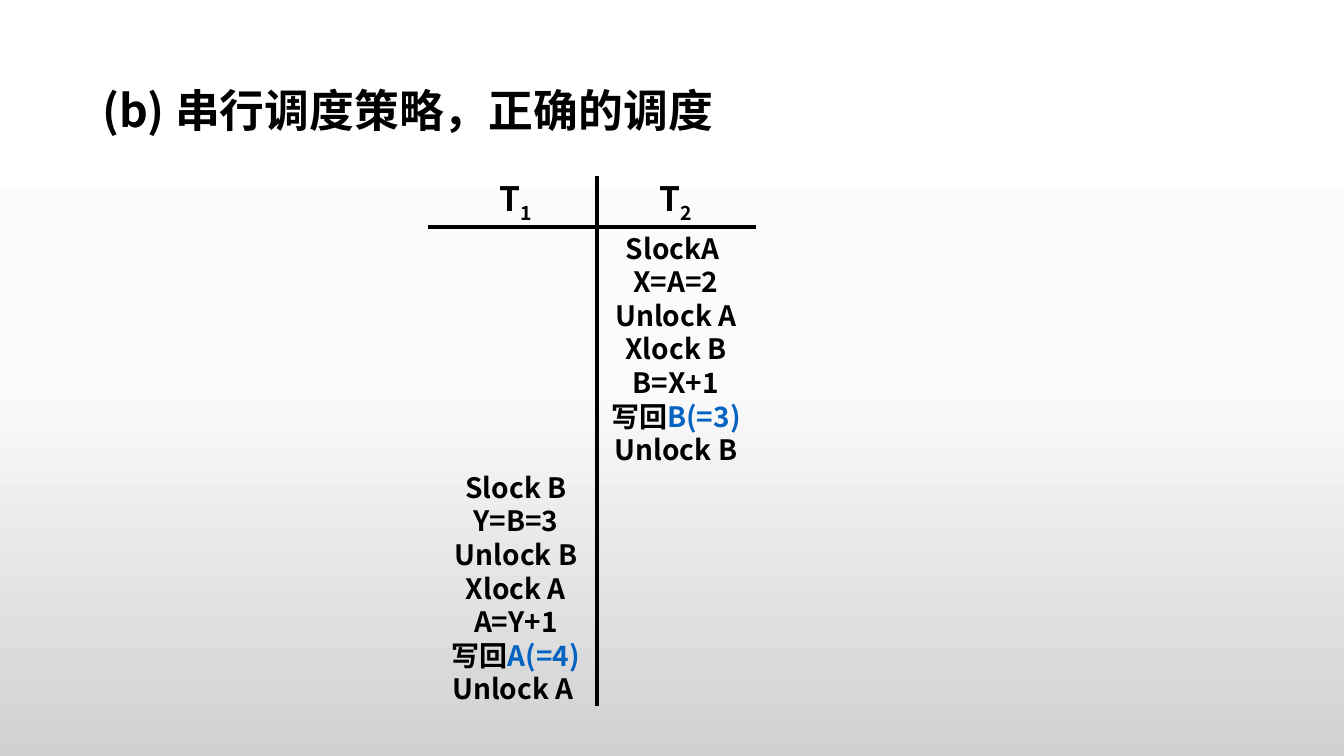
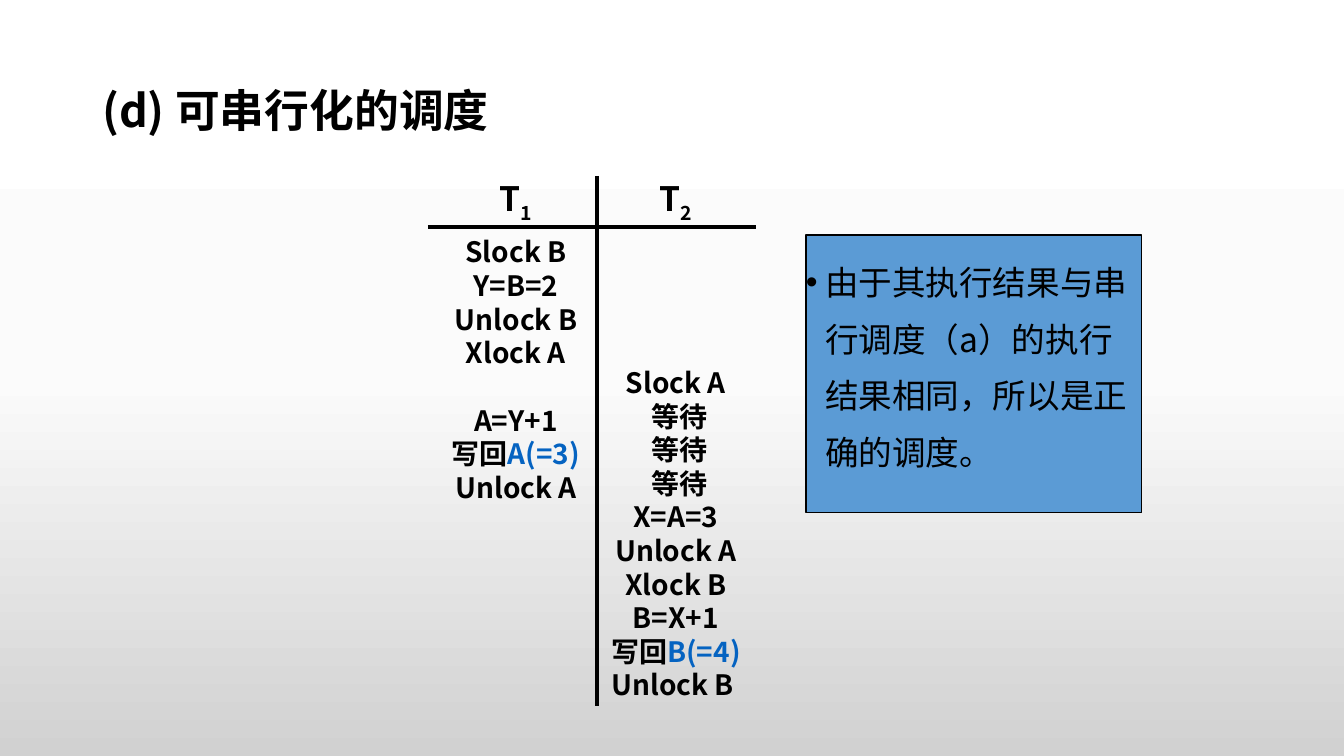
from lxml import etree
from pptx import Presentation
from pptx.dml.color import RGBColor
from pptx.enum.shapes import MSO_CONNECTOR as CONN, MSO_SHAPE as SHAPE
from pptx.enum.text import MSO_ANCHOR as ANCHOR, MSO_AUTO_SIZE as AUTO, PP_ALIGN as ALIGN
from pptx.oxml.ns import qn
from pptx.util import Emu, Pt

SCALE = 914400 / 100.8
FONT = "Noto Sans CJK SC"
BLACK, BLUE, NOTE_FILL = "000000", "0563C1", "5B9BD5"
BACKGROUND = [(0, "FFFFFF"), (50, "FBFBFB"), (100, "D1D1D1")]
WRITE = "写回"
COLUMN_WIDTH = 160
ROW = 24  # height of one schedule row, in points
COLUMNS = {"1": (436, 235), "2": (596, 231)}  # left, top of the first row


def px(length):
    return Emu(round(length * SCALE))


def style(font, size, bold=True):
    font.size, font.bold = Pt(size), bold
    font.color.rgb = RGBColor.from_string(BLACK)
    font.name = FONT
    etree.SubElement(font._element, qn("a:ea")).set("typeface", FONT)


schedules = [
    {
        "title": "(b) 串行调度策略，正确的调度",
        # transaction, first row, steps
        "blocks": [
            ("1", 7, ["Slock B", "Y=B=3", "Unlock B", "Xlock A", "A=Y+1",
                      "写回A(=4)", "Unlock A "]),
            ("2", 0, ["SlockA ", "X=A=2", "Unlock A", "Xlock B", "B=X+1",
                      "写回B(=3)", "Unlock B"]),
        ],
        "note": None,
    },
    {
        "title": "(d) 可串行化的调度",
        "blocks": [
            ("1", 0, ["Slock B", "Y=B=2", "Unlock B", "Xlock A"]),
            ("1", 5, ["A=Y+1", "写回A(=3)", "Unlock A"]),
            ("2", 4, ["Slock A", " 等待", " 等待", " 等待", "X=A=3", "Unlock A",
                      "Xlock B", "B=X+1", "写回B(=4)", "Unlock B "]),
        ],
        "note": "由于其执行结果与串行调度（a）的执行结果相同，所以是正确的调度。",
    },
]

prs = Presentation()
prs.slide_width, prs.slide_height = px(1344), px(756)

# Shared background on the master
master = prs.slide_master
backdrop = master.background.fill
backdrop.gradient()
backdrop.gradient_angle = 270
stops = master.element.xpath("p:cSld/p:bg//a:gsLst")[0]
for stop in list(stops):
    stops.remove(stop)
for position, colour in BACKGROUND:
    stop = etree.SubElement(stops, qn("a:gs"), pos=str(position * 1000))
    etree.SubElement(stop, qn("a:srgbClr"), val=colour)

for schedule in schedules:
    slide = prs.slides.add_slide(prs.slide_layouts[5])

    # Title
    title = slide.shapes.title
    title.left, title.top, title.width, title.height = px(92), px(40), px(1159), px(146)
    title.text_frame.text = schedule["title"]
    title.text_frame.auto_size = AUTO.NONE
    title.text_frame.vertical_anchor = ANCHOR.MIDDLE
    heading = title.text_frame.paragraphs[0]
    heading.alignment, heading.line_spacing = ALIGN.LEFT, 0.9
    style(heading.font, 32)

    # Rules of the schedule
    for x1, y1, x2, y2 in [(428, 227, 756, 227), (597, 176, 597, 706)]:
        rule = slide.shapes.add_connector(CONN.STRAIGHT, px(x1), px(y1), px(x2), px(y2))
        rule.line.color.rgb = RGBColor.from_string(BLACK)
        rule.line.width = Pt(2.25)
        etree.SubElement(rule._element.spPr, qn("a:effectLst"))

    # Column headings
    for number, (left, top) in COLUMNS.items():
        box = slide.shapes.add_textbox(px(left), px(176), px(COLUMN_WIDTH), px(50))
        box.text_frame.word_wrap = True
        box.text_frame.vertical_anchor = ANCHOR.MIDDLE
        label = box.text_frame.paragraphs[0]
        label.alignment = ALIGN.CENTER
        style(label.font, 24)
        label.add_run().text = "T"
        subscript = label.add_run()
        subscript.text = number
        subscript.font._element.set("baseline", "-25000")

    # Steps of each transaction
    for number, first_row, steps in schedule["blocks"]:
        left, top = COLUMNS[number]
        box = slide.shapes.add_textbox(px(left), px(top) + Pt(ROW * first_row),
                                       px(COLUMN_WIDTH), Pt(ROW * len(steps)))
        frame = box.text_frame
        frame.word_wrap = True
        frame.margin_left = frame.margin_right = frame.margin_top = frame.margin_bottom = 0
        for index, step in enumerate(steps):
            line = frame.add_paragraph() if index else frame.paragraphs[0]
            line.alignment = ALIGN.CENTER
            style(line.font, 20)
            if step.startswith(WRITE):
                line.add_run().text = WRITE
                written = line.add_run()
                written.text = step[len(WRITE):]
                written.font.color.rgb = RGBColor.from_string(BLUE)
            else:
                line.add_run().text = step

    # Note beside the schedule
    if schedule["note"]:
        note = slide.shapes.add_shape(SHAPE.RECTANGLE, px(806), px(235), px(336), px(278))
        note.shadow.inherit = False
        note.fill.solid()
        note.fill.fore_color.rgb = RGBColor.from_string(NOTE_FILL)
        note.line.color.rgb = RGBColor.from_string(BLACK)
        note.line.width = Pt(0.75)
        frame = note.text_frame
        frame.word_wrap = True
        frame.vertical_anchor = ANCHOR.TOP
        frame.margin_left, frame.margin_top, frame.margin_right = 0, px(11), px(5)
        remark = frame.paragraphs[0]
        remark.text = schedule["note"]
        remark.alignment, remark.line_spacing = ALIGN.LEFT, 1.4
        indents = remark._p.get_or_add_pPr()
        indents.set("marL", str(px(19)))
        indents.set("indent", str(-px(19)))
        etree.SubElement(indents, qn("a:buFont")).set("typeface", "Arial")
        etree.SubElement(indents, qn("a:buChar")).set("char", "•")
        style(remark.font, 24, bold=False)

prs.save("out.pptx")
